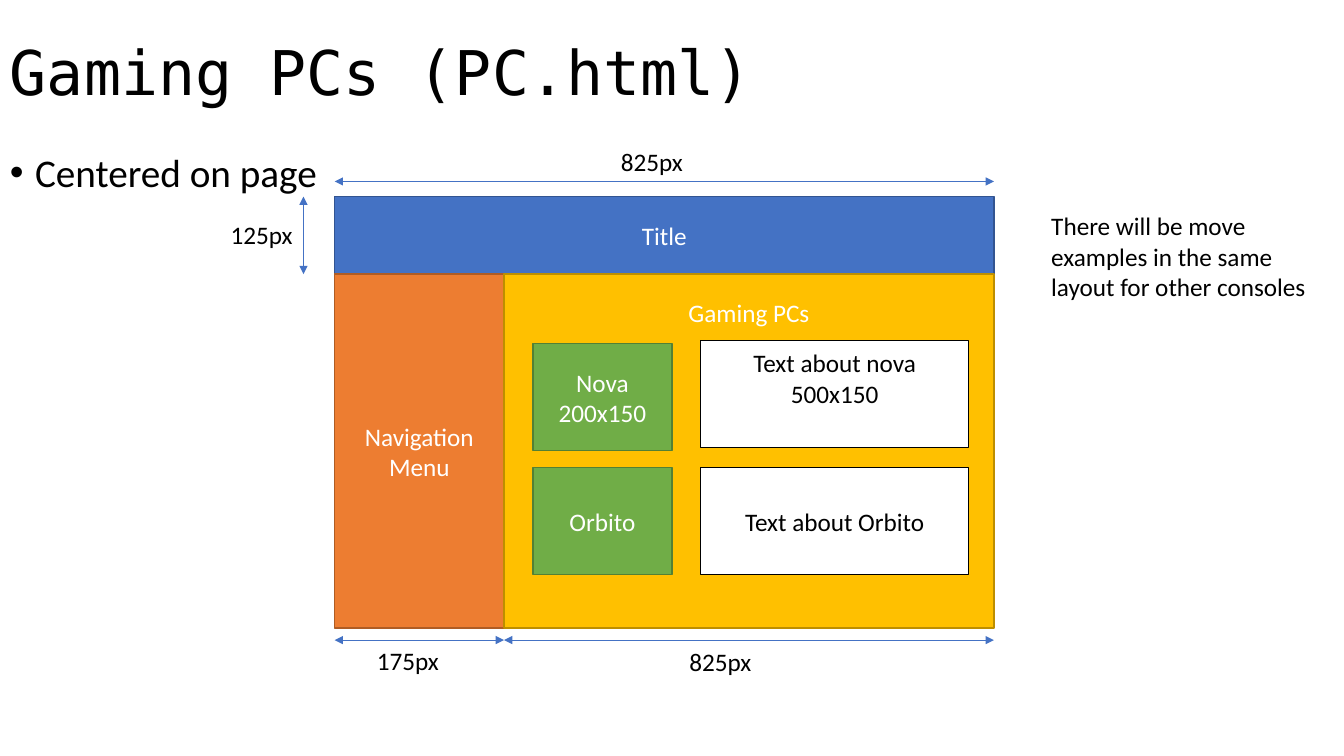
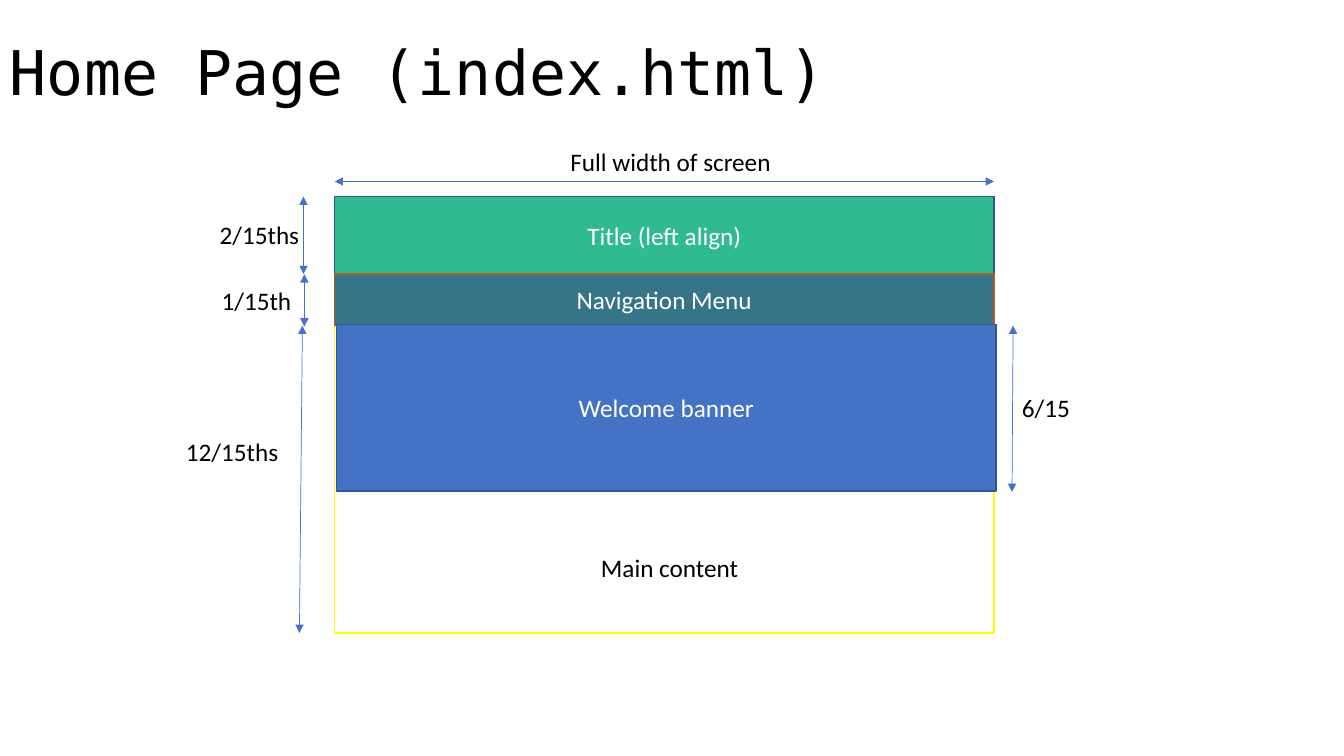
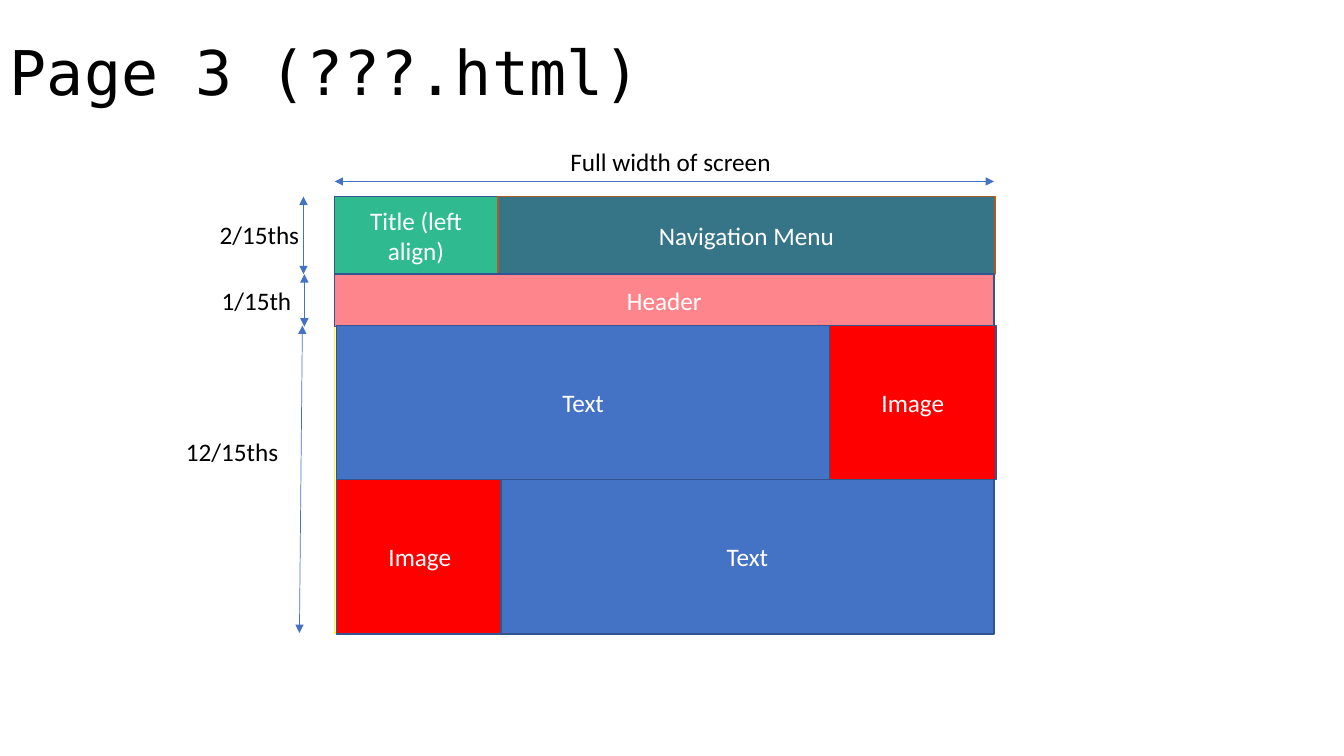
from lxml.etree import SubElement
from pptx import Presentation
from pptx.dml.color import RGBColor
from pptx.enum.shapes import MSO_CONNECTOR as CONN, MSO_SHAPE as SHAPE
from pptx.enum.text import MSO_ANCHOR as ANCHOR, PP_ALIGN as ALIGN
from pptx.oxml.ns import qn
from pptx.util import Inches, Pt

BLUE, NAVY, ORANGE, RUST = "4472C4", "325491", "ED7D31", "AF5C24"
GOLD, BRONZE, GREEN, FOREST = "FFC000", "BD8E00", "70AD47", "538035"
MINT, TEAL, PINK, RED = "30BA8F", "367588", "FF858D", "FF0000"
YELLOW, WHITE, BLACK = "FFFF00", "FFFFFF", "000000"

LEFT, RIGHT, TOP, HEAD, BODY, BOTTOM = 24.9, 73.95, 26, 36.27, 43.2, 83.73
FULL = RIGHT - LEFT
LABEL_H = 5.33


def rgb(value):
    return RGBColor.from_string(value)


class Deck:
    font, title_font = "Calibri", "DejaVu Sans Mono"

    def __init__(self):
        self.prs = Presentation()
        self.prs.slide_width, self.prs.slide_height = Inches(13.33), Inches(7.5)

    def x(self, share):
        return round(self.prs.slide_width * share / 100)

    def y(self, share):
        return round(self.prs.slide_height * share / 100)

    def area(self, x, y, w, h):
        return self.x(x), self.y(y), self.x(w), self.y(h)

    def put_text(self, tf, text, size=18, color=BLACK, font=font, align=ALIGN.LEFT):
        tf.text = text
        for p in tf.paragraphs:
            p.alignment = align
            for r in p.runs:
                r.font.size, r.font.name = Pt(size), font
                r.font.color.rgb = rgb(color)
        return tf.paragraphs[0]

    def slide(self, title):
        self.s = self.prs.slides.add_slide(self.prs.slide_layouts[6])
        tf = self.s.shapes.add_textbox(*self.area(0, 0.27, 100, 19.33)).text_frame
        tf.word_wrap, tf.vertical_anchor = True, ANCHOR.MIDDLE
        self.put_text(tf, title, 44, font=self.title_font).line_spacing = 0.9

    def bullet(self, text):
        tf = self.s.shapes.add_textbox(*self.area(0, 19.6, 100, 80.13)).text_frame
        tf.word_wrap = True
        p = self.put_text(tf, text, 28)
        p.line_spacing, p.space_before = 0.9, Pt(10)
        pPr = p._p.get_or_add_pPr()
        pPr.set("marL", str(Inches(0.25)))
        pPr.set("indent", str(-Inches(0.25)))
        SubElement(pPr, qn("a:buFont")).set("typeface", "Arial")
        SubElement(pPr, qn("a:buChar")).set("char", "•")

    def box(self, x, y, w, h, text, fill, line, color=WHITE, inset=None):
        sp = self.s.shapes.add_shape(SHAPE.RECTANGLE, *self.area(x, y, w, h))
        sp.shadow.inherit = False
        sp.fill.solid()
        sp.fill.fore_color.rgb = rgb(fill)
        sp.line.color.rgb = rgb(line)
        sp.line.width = Pt(1)
        tf = sp.text_frame
        tf.word_wrap, tf.vertical_anchor = True, ANCHOR.MIDDLE
        if inset is not None:
            tf.vertical_anchor, tf.margin_top = ANCHOR.TOP, Inches(inset)
        if text:
            self.put_text(tf, text, color=color, align=ALIGN.CENTER)

    def label(self, x, y, w, text, h=LABEL_H, wrap=False, align=ALIGN.LEFT):
        tf = self.s.shapes.add_textbox(*self.area(x, y, w, h)).text_frame
        tf.word_wrap = wrap
        self.put_text(tf, text, align=align)

    def arrow(self, x1, y1, x2, y2):
        c = self.s.shapes.add_connector(
            CONN.STRAIGHT, self.x(x1), self.y(y1), self.x(x2), self.y(y2))
        c.line.color.rgb = rgb(BLUE)
        c.line.width = Pt(0.5)
        for end in ("a:headEnd", "a:tailEnd"):
            SubElement(c.line._ln, qn(end)).set("type", "triangle")
        SubElement(c._element.spPr, qn("a:effectLst"))

    def frame_arrows(self):
        self.arrow(LEFT, 24, RIGHT, 24)
        self.arrow(22.58, TOP, 22.58, HEAD)

    def full_width_page(self, title):
        self.slide(title)
        self.box(LEFT, BODY, FULL, BOTTOM - BODY, "", WHITE, YELLOW)
        self.frame_arrows()
        self.arrow(22.65, HEAD, 22.65, BODY)
        self.arrow(22.5, 43.07, 22.28, BOTTOM)
        self.label(41.7, 18.67, 16.58, "Full width of screen")
        self.label(15.6, 28.4, 7.5, "2/15ths")
        self.label(15.75, 37.07, 7.43, "1/15th", wrap=True)
        self.label(13.1, 57.07, 8.6, "12/15ths", wrap=True)


def gaming_pcs(d):
    nav_right, foot, rule = 37.5, 83.07, 84.67
    d.slide("Gaming PCs (PC.html)")
    d.bullet("Centered on page")
    d.box(LEFT, TOP, FULL, HEAD - TOP, "Title", BLUE, NAVY)
    d.box(LEFT, HEAD, nav_right - LEFT, foot - HEAD, "Navigation Menu", ORANGE, RUST)
    d.box(nav_right, HEAD, RIGHT - nav_right, foot - HEAD, "Gaming PCs", GOLD, BRONZE,
          inset=0.23)
    d.frame_arrows()
    d.arrow(LEFT, rule, nav_right, rule)
    d.arrow(nav_right, rule, RIGHT, rule)
    for x, y, text in ((16.43, 28.4, "125px"), (27.3, 84.67, "175px"),
                       (50.55, 84.8, "825px"), (45.45, 18.67, "825px")):
        d.label(x, y, 6.15, text)
    for y, text_y, name, about, inset in (
            (45.47, 45.07, "Nova\n200x150", "Text about nova\n500x150", 0.07),
            (61.87, 61.87, "Orbito", "Text about Orbito", None)):
        d.box(39.65, y, 10.35, 14.13, name, GREEN, FOREST)
        d.box(52.13, text_y, 19.95, 14.13, about, WHITE, BLACK, BLACK, inset)
    d.label(77.48, 27.2, 21.38,
            "There will be move examples in the same layout for other consoles",
            h=13.47, wrap=True)


def home_page(d):
    d.full_width_page("Home Page (index.html)")
    d.box(LEFT, TOP, FULL, HEAD - TOP, "Title (left align)", MINT, NAVY)
    d.box(LEFT, HEAD, FULL, 6.8, "Navigation Menu", TEAL, RUST)
    d.box(25.05, 42.93, FULL, 22, "Welcome banner", BLUE, NAVY)
    d.label(38.57, 72.4, 22.5, "Main content", wrap=True, align=ALIGN.CENTER)
    d.arrow(75.38, 43.07, 75.3, 65.07)
    d.label(75.3, 51.2, 10.13, "6/15", wrap=True)


def page_three(d):
    left, row, text_w, image_w, row_h = 25.05, 43.07, 36.68, 12.38, 20.4
    d.full_width_page("Page 3 (???.html)")
    d.box(LEFT, TOP, 12.1, HEAD - TOP, "Title (left align)", MINT, NAVY)
    d.box(37.05, TOP, 36.98, HEAD - TOP, "Navigation Menu", TEAL, RUST)
    d.box(LEFT, HEAD, FULL, BODY - HEAD, "Header", PINK, NAVY)
    d.box(left, row, text_w, row_h, "Text", BLUE, NAVY)
    d.box(left + text_w, row, image_w, row_h, "Image", RED, NAVY)
    d.box(left, row + row_h, image_w, row_h, "Image", RED, NAVY)
    d.box(RIGHT - text_w, row + row_h, text_w, row_h, "Text", BLUE, NAVY)


def main():
    d = Deck()
    for build in (gaming_pcs, home_page, page_three):
        build(d)
    d.prs.save("out.pptx")


if __name__ == "__main__":
    main()
